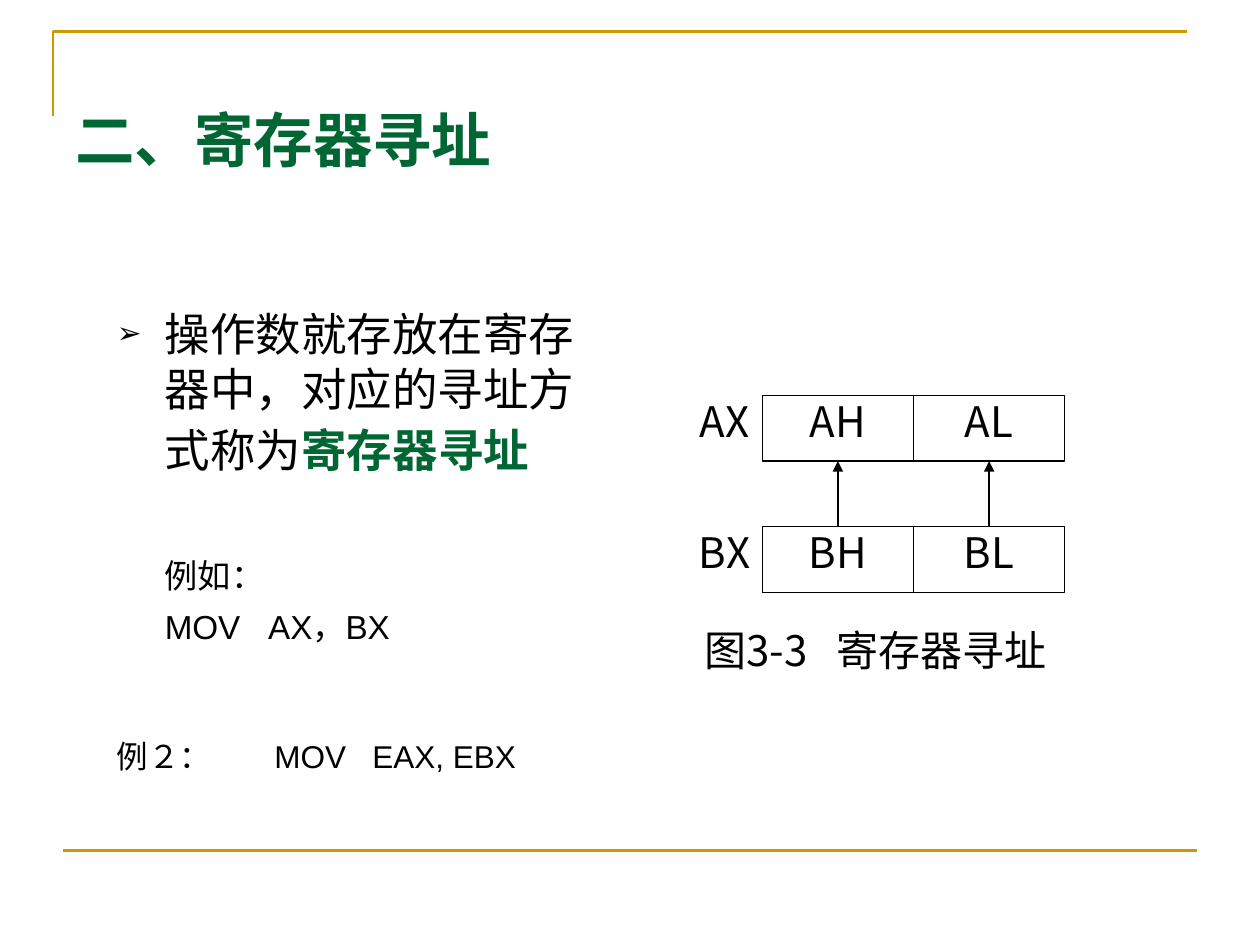
from pptx import Presentation
from pptx.dml.color import RGBColor
from pptx.enum.shapes import MSO_CONNECTOR, MSO_SHAPE
from pptx.enum.text import MSO_ANCHOR, PP_ALIGN
from pptx.oxml.ns import qn
from pptx.util import Inches, Pt
from lxml import etree

BLACK = RGBColor(0x00, 0x00, 0x00)
GREEN = RGBColor(0x00, 0x66, 0x33)
GOLD = RGBColor(0xCC, 0x99, 0x00)
CJK = "Noto Sans CJK SC"
STRAIGHT = MSO_CONNECTOR.STRAIGHT
RECT = MSO_SHAPE.RECTANGLE
TOP = MSO_ANCHOR.TOP
CENTER = PP_ALIGN.CENTER

# Diagram grid: a label is one column wide, a register half is two
LEFT, FIRST, COL, ROW = 5.45, 3.14, 0.6, 0.52

prs = Presentation()
prs.slide_width, prs.slide_height = Inches(10), Inches(7.5)
s = prs.slides.add_slide(prs.slide_layouts[6])


def add_run(p, text, size, font, color=BLACK, bold=False, spacing=0):
    """Add a run; spacing widens each of its characters, in points."""
    r = p.add_run()
    r.text = text
    r.font.size, r.font.name, r.font.bold = Pt(size), font, bold
    r.font.color.rgb = color
    etree.SubElement(r.font._element, qn("a:ea"), typeface=CJK)
    if spacing:
        r.font._element.set("spc", str(round(spacing * 100)))


def set_layout(p, margin, indent=0, bullet=None):
    """Set left margin and first-line indent in inches, and the bullet."""
    pPr = p._p.get_or_add_pPr()
    pPr.set("marL", str(Inches(margin)))
    pPr.set("indent", str(Inches(indent)))
    if bullet:
        etree.SubElement(pPr, qn("a:buSzPct"), val="65000")
        etree.SubElement(pPr, qn("a:buFont"), typeface="Arial")
        etree.SubElement(pPr, qn("a:buChar"), char=bullet)
    else:
        etree.SubElement(pPr, qn("a:buNone"))


# Gold frame
corner = s.shapes.build_freeform(Inches(0.42), Inches(0.92))
corner.add_line_segments([(Inches(0.42), Inches(0.25)), (Inches(9.42), Inches(0.25))], close=False)
frame = corner.convert_to_shape()
frame.shadow.inherit = False
frame.fill.background()
rule = s.shapes.add_connector(STRAIGHT, Inches(0.5), Inches(6.75), Inches(9.5), Inches(6.75))
etree.SubElement(rule._element.spPr, qn("a:effectLst"))
for line in (frame.line, rule.line):
    line.color.rgb, line.width = GOLD, Pt(1.5)

# Title
tf = s.shapes.add_textbox(Inches(0.5), Inches(0.77), Inches(9), Inches(1.25)).text_frame
tf.word_wrap = True
add_run(tf.paragraphs[0], "二、寄存器寻址", 34, "Times New Roman", GREEN, True)

# Definition and first example
tf = s.shapes.add_textbox(Inches(0.83), Inches(2.38), Inches(4.17), Inches(3.02)).text_frame
tf.word_wrap = True
p = tf.paragraphs[0]
set_layout(p, 0.38, -0.38, "➢")
add_run(p, "操作数就存放在寄存器中，对应的寻址方式称为", 26, "Arial")
add_run(p, "寄存器寻址", 26, "Arial", GREEN, True)
add_run(p, " ", 30, "Arial")

p = tf.add_paragraph()
set_layout(p, 0.38)
p.space_before = Pt(44)
add_run(p, "例如：", 19, "Arial")

p = tf.add_paragraph()
set_layout(p, 0.38)
p.space_before = Pt(6.6)
add_run(p, "MOV", 19, "Arial")
add_run(p, " ", 19, "Arial", spacing=10.6)
add_run(p, "AX，BX", 19, "Arial")

# Register halves, with an arrow from each half of BX to the same half of AX
halves = {}
for row, register in ((0, "A"), (2, "B")):
    y = Inches(FIRST + row * ROW)
    label = s.shapes.add_textbox(Inches(LEFT), y, Inches(COL), Inches(ROW))
    cells = [(label, register + "X")]
    for i, half in enumerate("HL"):
        sp = s.shapes.add_shape(RECT, Inches(LEFT + (1 + 2 * i) * COL), y, Inches(2 * COL), Inches(ROW))
        sp.shadow.inherit = False
        sp.fill.background()
        sp.line.color.rgb, sp.line.width = BLACK, Pt(0.75)
        halves[register + half] = sp
        cells.append((sp, register + half))
    for sp, text in cells:
        tf = sp.text_frame
        tf.margin_left = tf.margin_right = tf.margin_top = tf.margin_bottom = 0
        tf.word_wrap, tf.vertical_anchor = True, TOP
        tf.paragraphs[0].alignment = CENTER
        add_run(tf.paragraphs[0], text, 24, CJK)

for half in "HL":
    arrow = s.shapes.add_connector(STRAIGHT, 0, 0, 0, 0)
    arrow.begin_connect(halves["B" + half], 0)
    arrow.end_connect(halves["A" + half], 2)
    arrow.line.color.rgb, arrow.line.width = BLACK, Pt(0.75)
    etree.SubElement(arrow.line._get_or_add_ln(), qn("a:tailEnd"), type="triangle")
    etree.SubElement(arrow._element.spPr, qn("a:effectLst"))

# Caption
tf = s.shapes.add_textbox(Inches(LEFT), Inches(FIRST + 3.5 * ROW), Inches(5 * COL), Inches(ROW)).text_frame
tf.margin_left = tf.margin_right = tf.margin_top = tf.margin_bottom = 0
tf.word_wrap = True
p = tf.paragraphs[0]
set_layout(p, 0.14)
add_run(p, "图3-3", 24, CJK)
add_run(p, " ", 24, CJK, spacing=11)
add_run(p, "寄存器寻址", 24, CJK)

# Second example
tf = s.shapes.add_textbox(Inches(0.83), Inches(5.8), Inches(5.91), Inches(0.4)).text_frame
tf.word_wrap = True
p = tf.paragraphs[0]
add_run(p, "例２：", 18, "Arial")
add_run(p, "\u3000".replace("\u3000", "　"), 18, "Arial", spacing=18)
add_run(p, "MOV", 18, "Arial")
add_run(p, " ", 18, "Arial", spacing=10)
add_run(p, "EAX, EBX", 18, "Arial")

prs.save("out.pptx")
